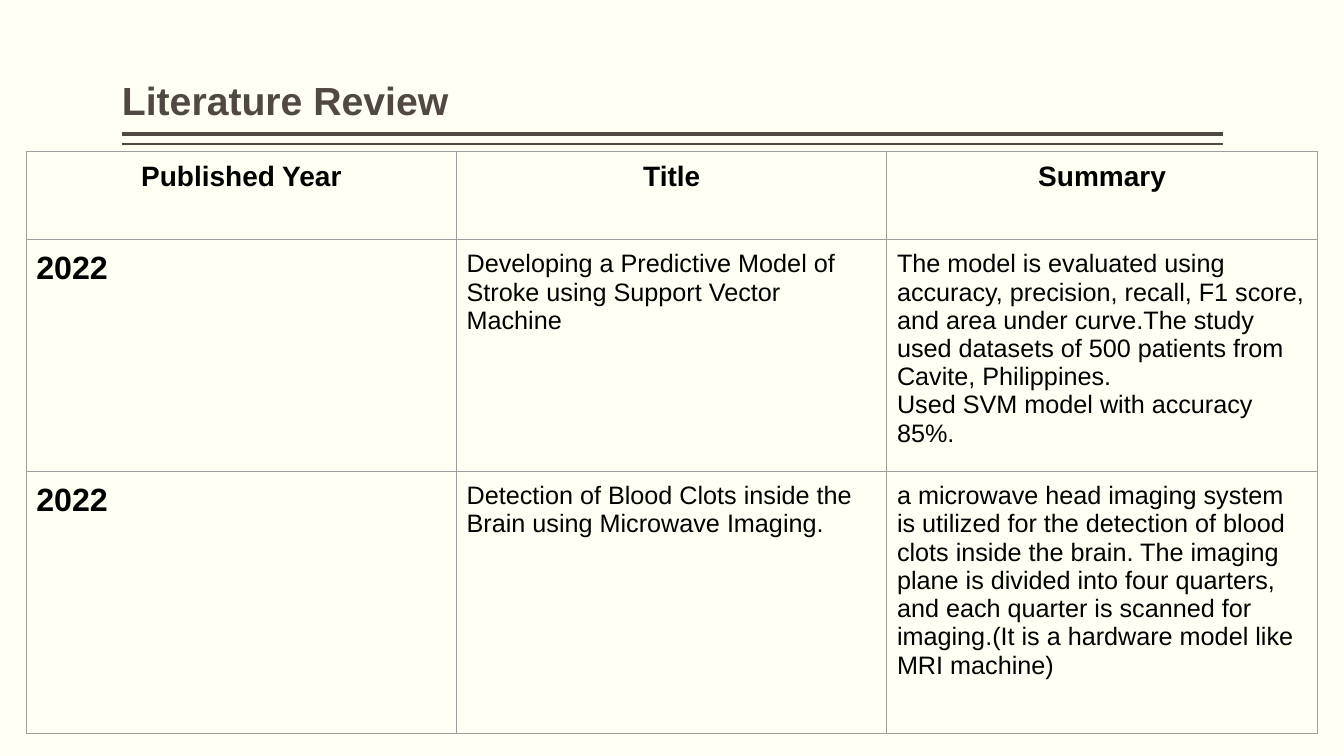
"""Build the literature review slide with its title, double rule and table."""
from dataclasses import dataclass

from lxml import etree
from pptx import Presentation
from pptx.dml.color import RGBColor
from pptx.enum.shapes import MSO_CONNECTOR
from pptx.enum.text import MSO_ANCHOR, PP_ALIGN
from pptx.oxml.ns import qn
from pptx.util import Pt

STRAIGHT = MSO_CONNECTOR.STRAIGHT
BOTTOM = MSO_ANCHOR.BOTTOM
LEFT, CENTER = PP_ALIGN.LEFT, PP_ALIGN.CENTER

FONT = "Arial"
CREAM, BROWN, BLACK, GREY = "FFFFF3", "514843", "000000", "9E9E9E"
MARGIN_LEFT, MARGIN_RIGHT = 87.12, 873.36
TABLE_LEFT, TABLE_TOP, COLUMN_WIDTH = 18.72, 108, 307.44
ROW_HEIGHTS = (63.36, 159.84, 187.2)
CELL_INSET = 7.2
BORDER_WIDTH = 0.75


@dataclass(frozen=True)
class Rule:
    y: float
    width: float


@dataclass(frozen=True)
class TextStyle:
    size: float
    bold: bool = False
    color: str = BLACK
    align: PP_ALIGN = LEFT


@dataclass(frozen=True)
class Study:
    year: str
    title: str
    summary: tuple[str, ...]


TITLE = TextStyle(28, True, BROWN)
HEADING = TextStyle(20, True, align=CENTER)
YEAR = TextStyle(23, True)
BODY = TextStyle(18)

RULES = (Rule(95.76, 3), Rule(102.96, 1))
HEADINGS = ("Published Year", "Title", "Summary")
STUDIES = (
    Study(
        "2022",
        "Developing a Predictive Model of Stroke using Support Vector Machine",
        (
            "The model is evaluated using accuracy, precision, recall, F1 score, "
            "and area under curve.The study used datasets of 500 patients from "
            "Cavite, Philippines.",
            "Used SVM model with accuracy 85%.",
        ),
    ),
    Study(
        "2022",
        "Detection of Blood Clots inside the Brain using Microwave Imaging.",
        (
            "a microwave head imaging system is utilized for the detection of "
            "blood clots inside the brain. The imaging plane is divided into four "
            "quarters, and each quarter is scanned for imaging.(It is a hardware "
            "model like MRI machine)",
        ),
    ),
)


def rgb(value: str) -> RGBColor:
    """Turn a hex string into a colour."""
    return RGBColor.from_string(value)


def write(frame, lines: tuple[str, ...], style: TextStyle) -> None:
    """Write one paragraph per line in the given style."""
    for index, line in enumerate(lines):
        para = frame.add_paragraph() if index else frame.paragraphs[0]
        para.alignment = style.align
        span = para.add_run()
        span.text = line
        span.font.name = FONT
        span.font.size = Pt(style.size)
        span.font.bold = style.bold
        span.font.color.rgb = rgb(style.color)


def draw_title(page, text: str) -> None:
    """Place the slide title above the double rule."""
    box = page.shapes.add_textbox(
        Pt(MARGIN_LEFT), Pt(5.76), Pt(MARGIN_RIGHT - MARGIN_LEFT), Pt(86.4)
    )
    frame = box.text_frame
    frame.word_wrap = True
    frame.vertical_anchor = BOTTOM
    frame.margin_left = frame.margin_right = Pt(0)
    write(frame, (text,), TITLE)
    frame.paragraphs[0].line_spacing = 0.9


def draw_rule(page, rule: Rule) -> None:
    """Draw one horizontal rule between the margins."""
    line = page.shapes.add_connector(
        STRAIGHT, Pt(MARGIN_RIGHT), Pt(rule.y), Pt(MARGIN_LEFT), Pt(rule.y)
    )
    line.line.color.rgb = rgb(BROWN)
    line.line.width = Pt(rule.width)
    etree.SubElement(line._element.spPr, qn("a:effectLst"))


def add_borders(cell) -> None:
    """Outline all four sides of a cell."""
    properties = cell._tc.get_or_add_tcPr()
    for side in ("lnL", "lnR", "lnT", "lnB"):
        edge = etree.SubElement(properties, qn(f"a:{side}"), w=str(Pt(BORDER_WIDTH)))
        fill = etree.SubElement(edge, qn("a:solidFill"))
        etree.SubElement(fill, qn("a:srgbClr"), val=GREY)


def fill_cell(cell, lines: tuple[str, ...], style: TextStyle) -> None:
    """Set the borders, insets and text of a cell."""
    add_borders(cell)
    cell.fill.background()
    cell.margin_left = cell.margin_right = Pt(CELL_INSET)
    cell.margin_top = cell.margin_bottom = Pt(CELL_INSET)
    write(cell.text_frame, lines, style)


def draw_table(page) -> None:
    """Draw the table of reviewed studies."""
    table = page.shapes.add_table(
        len(ROW_HEIGHTS), len(HEADINGS), Pt(TABLE_LEFT), Pt(TABLE_TOP),
        Pt(COLUMN_WIDTH * len(HEADINGS)), Pt(sum(ROW_HEIGHTS)),
    ).table
    table.first_row = table.horz_banding = False
    for column in table.columns:
        column.width = Pt(COLUMN_WIDTH)
    for row, height in zip(table.rows, ROW_HEIGHTS):
        row.height = Pt(height)
    for column, heading in enumerate(HEADINGS):
        fill_cell(table.cell(0, column), (heading,), HEADING)
    for row, study in enumerate(STUDIES, start=1):
        fill_cell(table.cell(row, 0), (study.year,), YEAR)
        fill_cell(table.cell(row, 1), (study.title,), BODY)
        fill_cell(table.cell(row, 2), study.summary, BODY)


def main() -> None:
    """Assemble and save the deck."""
    deck = Presentation()
    deck.slide_width, deck.slide_height = Pt(960), Pt(540)
    page = deck.slides.add_slide(deck.slide_layouts[6])
    page.background.fill.solid()
    page.background.fill.fore_color.rgb = rgb(CREAM)
    for rule in RULES:
        draw_rule(page, rule)
    draw_title(page, "Literature Review")
    draw_table(page)
    deck.save("out.pptx")


if __name__ == "__main__":
    main()
